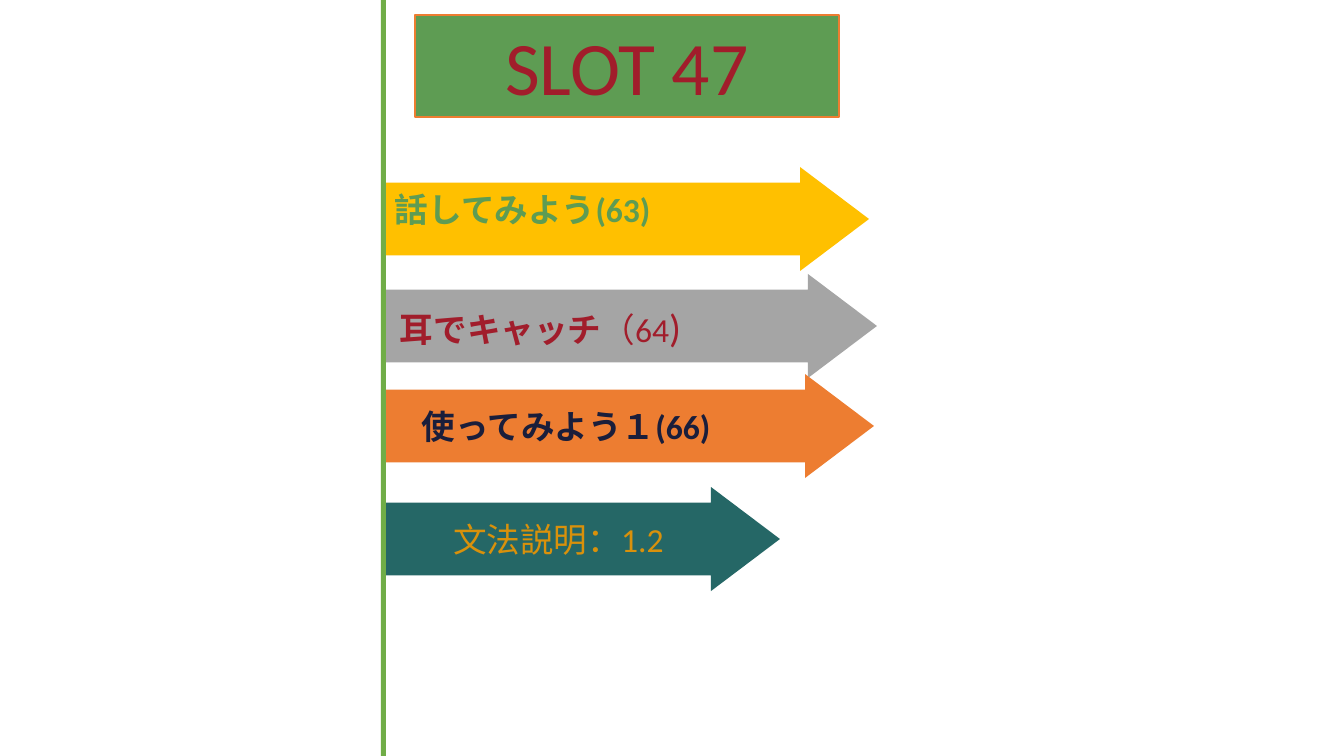
from pptx import Presentation
from pptx.dml.color import RGBColor
from pptx.enum.shapes import MSO_SHAPE as Shape
from pptx.enum.text import MSO_ANCHOR as Anchor, PP_ALIGN as Align
from pptx.util import Emu, Pt

EMU_PER_PX = 914400 / 100.8
GREEN, RED, ORANGE = "5E9C53", "A11D2B", "ED7D31"


def px(length):
    return Emu(round(length * EMU_PER_PX))


def color(value):
    return RGBColor.from_string(value)


class LessonSlide:
    font_name = "Calibri"
    arrow_height = 104
    arrow_adjustments = (0.701, 0.663)

    def __init__(self, presentation):
        self.slide = presentation.slides.add_slide(presentation.slide_layouts[6])

    def add_text(self, shape, runs, text_color, align=Align.LEFT, anchor=Anchor.TOP):
        """Fill a shape with one paragraph of (text, size, bold) runs."""
        frame = shape.text_frame
        frame.word_wrap = True
        frame.vertical_anchor = anchor
        paragraph = frame.paragraphs[0]
        paragraph.alignment = align
        for text, size, bold in runs:
            run = paragraph.add_run()
            run.text = text
            run.font.color.rgb = color(text_color)
            formats = {"name": self.font_name, "size": Pt(size), "bold": bold}
            for name, value in formats.items():
                setattr(run.font, name, value)

    def shape(self, kind, box, fill, line=None):
        shape = self.slide.shapes.add_shape(kind, *map(px, box))
        shape.shadow.inherit = False
        shape.fill.solid()
        shape.fill.fore_color.rgb = color(fill)
        if line:
            shape.line.color.rgb = color(line)
            shape.line.width = Pt(1)
        else:
            shape.line.fill.background()
        return shape

    def arrow(self, left, top, width, fill):
        arrow = self.shape(Shape.RIGHT_ARROW, (left, top, width, self.arrow_height), fill)
        for index, value in enumerate(self.arrow_adjustments):
            arrow.adjustments[index] = value
        return arrow

    def label(self, box, runs, text_color):
        self.add_text(self.slide.shapes.add_textbox(*map(px, box)), runs, text_color)


def main():
    presentation = Presentation()
    presentation.slide_width, presentation.slide_height = px(1344), px(756)
    lesson = LessonSlide(presentation)

    lesson.arrow(385, 274, 492, "A5A5A5")
    lesson.arrow(384, 374, 490, ORANGE)
    grammar = lesson.arrow(385, 487, 395, "256766")
    lesson.add_text(grammar, [("文法説明：1.2", 24, False)], "D9910B", Align.CENTER, Anchor.MIDDLE)
    lesson.arrow(386, 167, 483, "FFC000")
    lesson.shape(Shape.RECTANGLE, (381, 0, 5, 756), "70AD47")

    title = lesson.shape(Shape.RECTANGLE, (415, 15, 424, 102), GREEN, ORANGE)
    lesson.add_text(title, [("SLOT 47", 54, False)], RED, Align.CENTER)

    lesson.label((385, 184, 455, 50), [("話してみよう(63)", 24, True)], GREEN)
    listening = [("耳でキャッチ", 24, True), ("（64", 24, False), (")", 28, False)]
    lesson.label((390, 298, 445, 57), listening, RED)
    lesson.label((412, 401, 482, 50), [("使ってみよう１(66)", 24, True)], "1A1E3B")

    presentation.save("out.pptx")


if __name__ == "__main__":
    main()
